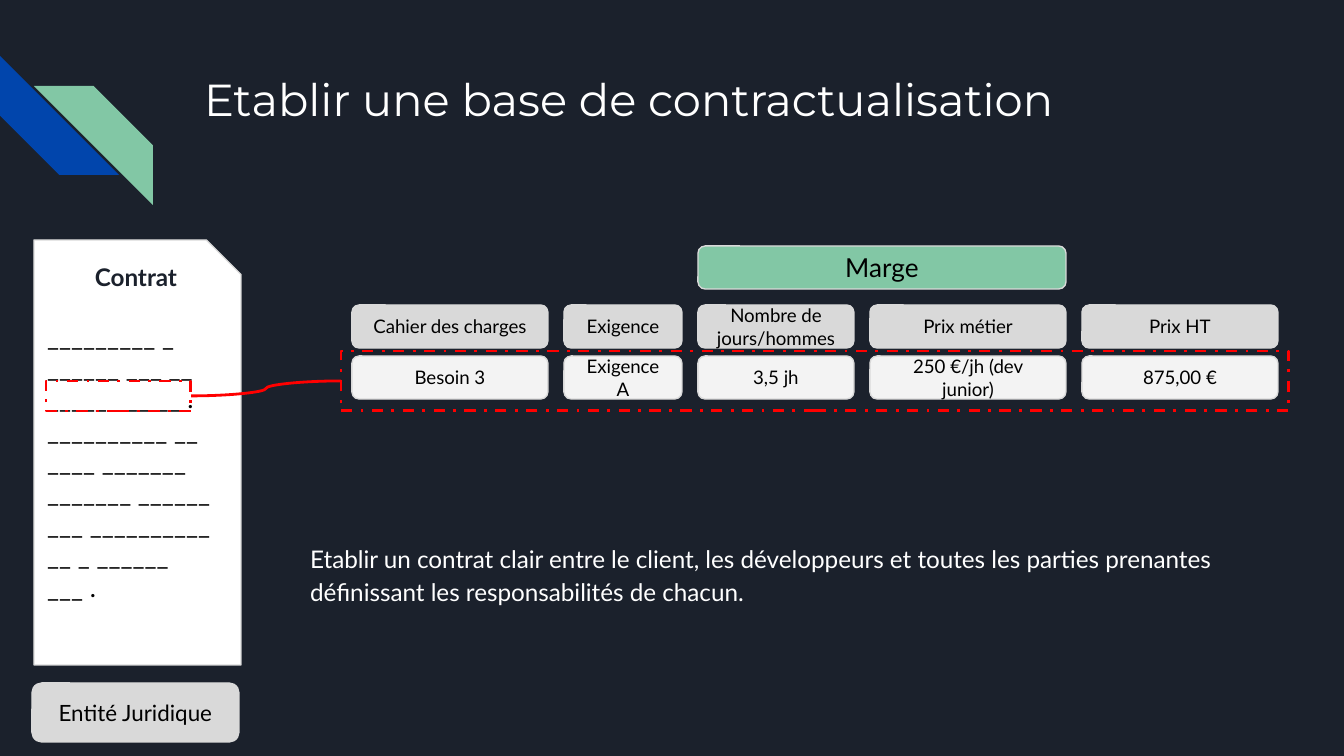
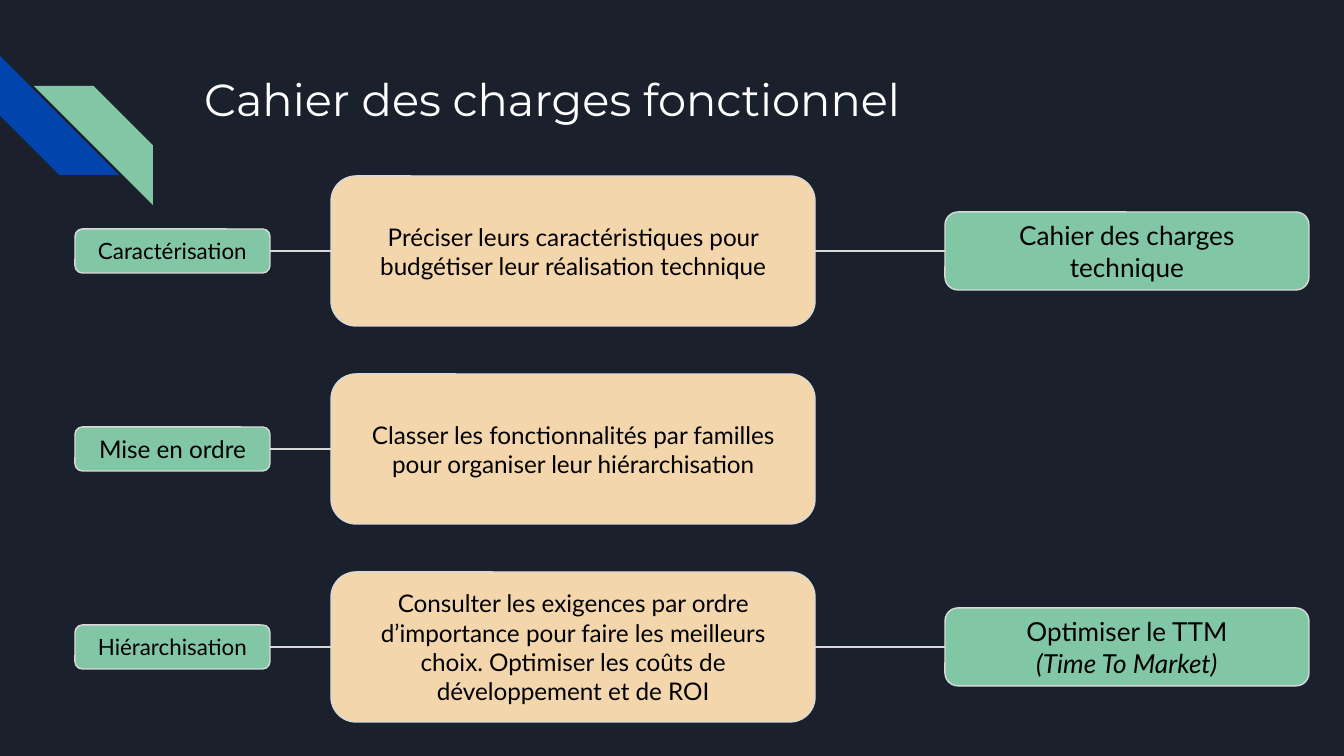
from collections import namedtuple

from lxml.etree import SubElement
from pptx import Presentation
from pptx.dml.color import RGBColor
from pptx.enum.dml import MSO_LINE
from pptx.enum.shapes import MSO_CONNECTOR, MSO_SHAPE
from pptx.enum.text import MSO_ANCHOR, PP_ALIGN
from pptx.oxml.ns import qn
from pptx.util import Emu, Inches, Pt

NAVY = RGBColor(0x1B, 0x21, 0x2C)
BLUE = RGBColor(0x01, 0x45, 0xAC)
GREEN = RGBColor(0x82, 0xC7, 0xA5)
SAND = RGBColor(0xF4, 0xD6, 0xAD)
GREY = RGBColor(0xD9, 0xD9, 0xD9)
PALE = RGBColor(0xF3, 0xF3, 0xF3)
RED = RGBColor(0xFF, 0x00, 0x00)
WHITE = RGBColor(0xFF, 0xFF, 0xFF)
BLACK = RGBColor(0x00, 0x00, 0x00)

TITLE_FONT = "Montserrat"
BODY_FONT = "Lato"
LEFT, RIGHT = 1, 3

Box = namedtuple("Box", "left top width height")
SLIDE = Box(0, 0, 1344, 756)


def px(length):
    """Turn a length in px (134.4 to the inch) into EMU."""
    return Emu(round(length * 914400 / 134.4))


def place(box):
    return [px(length) for length in box]


def write(shape, text, size, color=BLACK, font=BODY_FONT, align=PP_ALIGN.CENTER):
    """Fill the shape with text, one paragraph for each line."""
    frame = shape.text_frame
    frame.word_wrap = True
    frame.margin_left = frame.margin_right = Inches(0.1)
    frame.margin_top = frame.margin_bottom = Inches(0.1)
    frame.text = text
    for paragraph in frame.paragraphs:
        paragraph.alignment = align
        for run in paragraph.runs:
            run.font.name = font
            run.font.size = Pt(size)
            run.font.color.rgb = color
    return frame


def add_text(slide, box, text, size, color=WHITE, **style):
    return write(slide.shapes.add_textbox(*place(box)), text, size, color, **style)


def add_panel(slide, box, fill, text, size, preset=MSO_SHAPE.ROUNDED_RECTANGLE,
              align=PP_ALIGN.CENTER):
    panel = slide.shapes.add_shape(preset, *place(box))
    panel.shadow.inherit = False
    panel.fill.solid()
    panel.fill.fore_color.rgb = fill
    panel.line.color.rgb = GREY
    panel.line.width = Pt(0.75)
    write(panel, text, size, align=align).vertical_anchor = MSO_ANCHOR.MIDDLE
    return panel


def add_highlight(slide, box):
    frame = slide.shapes.add_shape(MSO_SHAPE.RECTANGLE, *place(box))
    frame.shadow.inherit = False
    frame.fill.background()
    frame.line.color.rgb = RED
    frame.line.width = Pt(1.5)
    frame.line.dash_style = MSO_LINE.DASH_DOT
    return frame


def link(slide, start, end, color=GREY, width=0.75, kind=MSO_CONNECTOR.STRAIGHT):
    """Join the right side of one shape to the left side of another."""
    connector = slide.shapes.add_connector(kind, 0, 0, 0, 0)
    connector.begin_connect(start, RIGHT)
    connector.end_connect(end, LEFT)
    connector.line.color.rgb = color
    connector.line.width = Pt(width)
    SubElement(connector._element.spPr, qn("a:effectLst"))


def add_stripe(slide, box, color):
    stripe = slide.shapes.add_shape(MSO_SHAPE.DIAGONAL_STRIPE, *place(box))
    stripe.shadow.inherit = False
    stripe.adjustments[0] = 0.5
    stripe.fill.solid()
    stripe.fill.fore_color.rgb = color
    stripe.line.fill.background()
    return stripe


def add_titled_slide(presentation, title):
    slide = presentation.slides.add_slide(presentation.slide_layouts[6])
    add_stripe(slide, Box(0, 56, 119, 119), BLUE).rotation = 270
    green_stripe = add_stripe(slide, Box(34, 86, 119, 119), GREEN)
    green_stripe._element.spPr.find(qn("a:xfrm")).set("flipH", "1")
    add_text(slide, Box(191, 58, 1035, 134), title, 24,
             font=TITLE_FONT, align=PP_ALIGN.LEFT)
    return slide


def add_contract(slide, box):
    """Draw the contract sheet and return the frame around its clause."""
    left, top, width, height = box
    clauses = ("_________ _ ______ ___ __ ______ __ __ . __________ __ ____ _______ "
               "_______ ______ ___ __________ __ _ ______ ___ .")
    add_panel(slide, box, WHITE, clauses, 14, MSO_SHAPE.SNIP_1_RECTANGLE, PP_ALIGN.LEFT)
    heading = add_text(slide, Box(left + 24, top + 9, 156, 43), "Contrat", 13, NAVY)
    heading.paragraphs[0].runs[0].font.bold = True
    add_panel(slide, Box(left - 2, top + height + 18, width, 59), GREY,
              "Entité Juridique", 12)
    return add_highlight(slide, Box(left + 12, top + 141, 145, 30))


def add_pricing(slide, box):
    """Draw the pricing grid and return the frame around its priced row."""
    columns = [
        (196, "Cahier des charges", "Besoin 3"),
        (118, "Exigence", "Exigence A"),
        (156, "Nombre de jours/hommes", "3,5 jh"),
        (196, "Prix métier", "250 €/jh (dev junior)"),
        (196, "Prix HT", "875,00 €"),
    ]
    gap, cell_height = 16, 43
    header_top, value_top = box.top + 59, box.top + 110
    left, lefts = box.left, []
    for width, header, value in columns:
        lefts.append(left)
        add_panel(slide, Box(left, header_top, width, cell_height), GREY, header, 10)
        add_panel(slide, Box(left, value_top, width, cell_height), PALE, value, 10)
        left += width + gap
    margin_width = lefts[4] - gap - lefts[2]
    add_panel(slide, Box(lefts[2], box.top, margin_width, cell_height), GREEN, "Marge", 14)
    return add_highlight(slide, Box(box.left - 11, value_top - 5, box.width + 20, 60))


def build_contract_slide(presentation):
    slide = add_titled_slide(presentation, "Etablir une base de contractualisation")
    summary = add_text(
        slide, Box(297, 526, 1035, 99),
        "Etablir un contrat clair entre le client, les développeurs et toutes les "
        "parties prenantes définissant les responsabilités de chacun.",
        13, align=PP_ALIGN.LEFT)
    summary.paragraphs[0].line_spacing = 1.15
    summary.paragraphs[0].space_after = Pt(12)
    clause = add_contract(slide, Box(34, 240, 207, 425))
    priced_row = add_pricing(slide, Box(352, 246, 928, 153))
    link(slide, clause, priced_row, RED, 1.5, MSO_CONNECTOR.CURVE)


def add_step(slide, box, label, label_size, description, result):
    """Place label, description and optional result on one centre line."""
    def centred(left, width, height):
        return Box(box.left + left, box.top + (box.height - height) // 2, width, height)

    label_panel = add_panel(slide, centred(0, 195, 44), GREEN, label, label_size)
    description_panel = add_panel(slide, centred(256, 484, 150), SAND, description, 13)
    link(slide, label_panel, description_panel)
    if result:
        result_panel = add_panel(slide, centred(870, 364, 78), GREEN, result, 14)
        link(slide, description_panel, result_panel)
        return result_panel
    return None


def build_requirements_slide(presentation):
    slide = add_titled_slide(presentation, "Cahier des charges fonctionnel")
    steps = [
        ("Caractérisation", 12,
         "Préciser leurs caractéristiques pour budgétiser leur réalisation technique",
         "Cahier des charges\ntechnique"),
        ("Mise en ordre", 13,
         "Classer les fonctionnalités par familles pour organiser leur hiérarchisation",
         None),
        ("Hiérarchisation", 12,
         "Consulter les exigences par ordre d’importance pour faire les meilleurs "
         "choix. Optimiser les coûts de développement et de ROI",
         "Optimiser le TTM\n(Time To Market)"),
    ]
    for index, step in enumerate(steps):
        result_panel = add_step(slide, Box(75, 176 + 198 * index, 1234, 150), *step)
    result_panel.text_frame.paragraphs[1].runs[0].font.italic = True


def main():
    presentation = Presentation()
    presentation.slide_width = px(SLIDE.width)
    presentation.slide_height = px(SLIDE.height)
    background = presentation.slide_master.background.fill
    background.solid()
    background.fore_color.rgb = NAVY
    build_contract_slide(presentation)
    build_requirements_slide(presentation)
    presentation.save("out.pptx")


if __name__ == "__main__":
    main()
